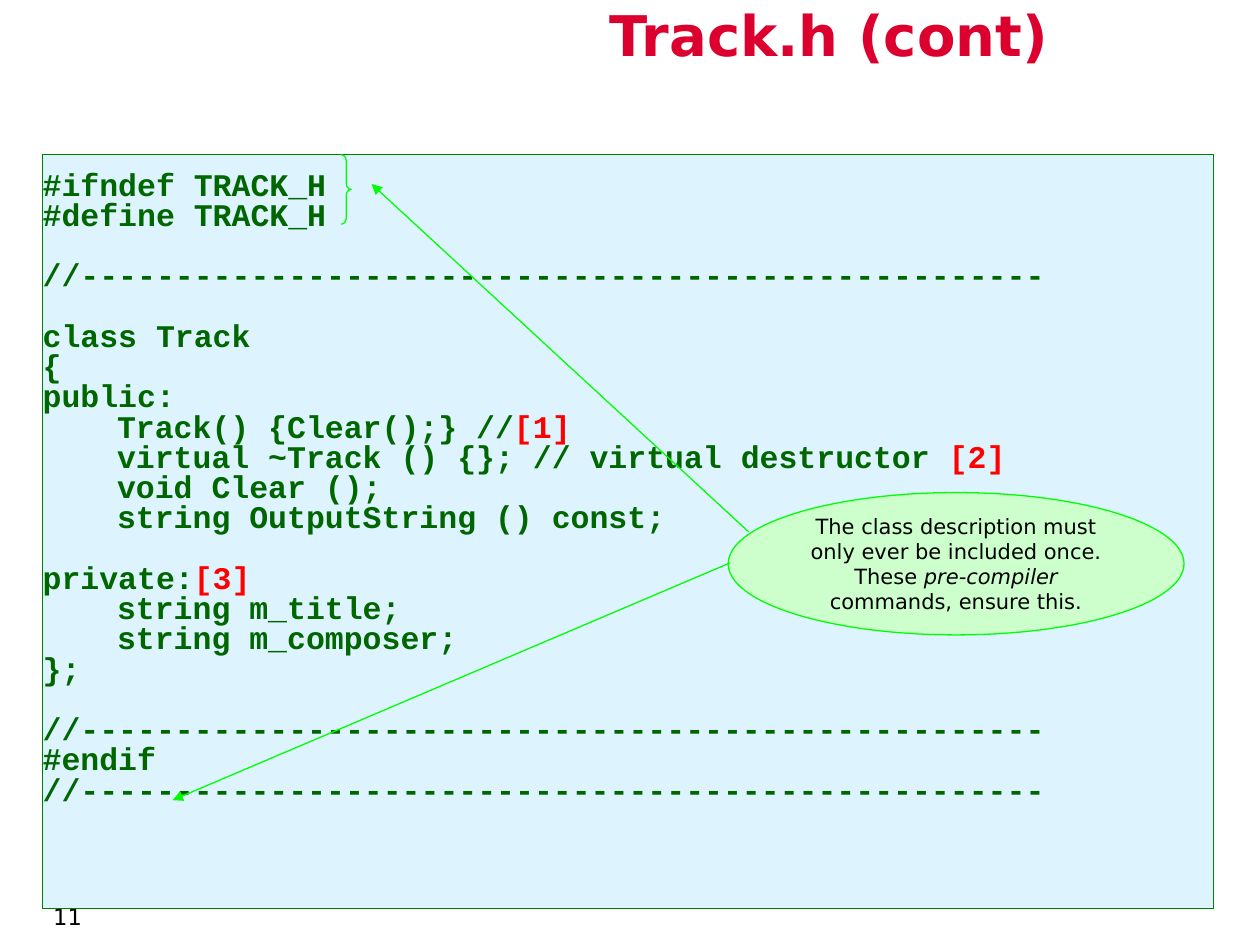
from dataclasses import dataclass

import pptx
import pptx.dml.color
import pptx.enum.shapes
import pptx.enum.text
import pptx.oxml.ns
import pptx.util
from lxml import etree

Cm, Pt = pptx.util.Cm, pptx.util.Pt
RGB = pptx.dml.color.RGBColor
Shape = pptx.enum.shapes.MSO_SHAPE
Align = pptx.enum.text.PP_ALIGN
Anchor = pptx.enum.text.MSO_ANCHOR
qn = pptx.oxml.ns.qn

BLACK = RGB(0x00, 0x00, 0x00)
CRIMSON = RGB(0xDC, 0x00, 0x2E)
RED = RGB(0xFF, 0x00, 0x00)
GREEN = RGB(0x00, 0x66, 0x00)
BORDER = RGB(0x00, 0x80, 0x00)
LIME = RGB(0x00, 0xFF, 0x00)
MINT = RGB(0xCC, 0xFF, 0xCC)
SKY = RGB(0xDD, 0xF4, 0xFF)

SANS, MONO = "DejaVu Sans", "Courier New"
RULE = "//" + "-" * 51
STEP = 17.3  # height of one code line in points


@dataclass
class Code:
    text: str
    mark: str = ""
    tab: bool = False
    gap: bool = False


@dataclass
class Arrow:
    start: tuple[float, float]
    end: tuple[float, float]


CODE = [
    Code("#ifndef TRACK_H"),
    Code("#define TRACK_H"),
    Code(RULE, gap=True),
    Code("class Track", gap=True),
    Code("{"),
    Code("public:"),
    Code("Track() {Clear();} //", "[1]", tab=True),
    Code("virtual ~Track () {}; // virtual destructor ", "[2]", tab=True),
    Code("void Clear ();", tab=True),
    Code("string OutputString () const;", tab=True),
    Code("private:", "[3]", gap=True),
    Code("string m_title;", tab=True),
    Code("string m_composer;", tab=True),
    Code("};"),
    Code(RULE, gap=True),
    Code("#endif"),
    Code(RULE),
]
ARROWS = [
    Arrow((15.09, 10.72), (7.49, 3.71)),
    Arrow((14.71, 11.35), (3.48, 16.13)),
]


def set_up(frame, inset=(0, 0, 0, 0), anchor=Anchor.TOP) -> None:
    frame.word_wrap = True
    frame.auto_size = pptx.enum.text.MSO_AUTO_SIZE.NONE
    frame.vertical_anchor = anchor
    (frame.margin_left, frame.margin_top,
     frame.margin_right, frame.margin_bottom) = map(Cm, inset)


def write(para, text: str, *, size: float, font=SANS, color=BLACK,
          bold=False, italic=False, align=Align.LEFT) -> None:
    para.alignment = align
    run = para.add_run()
    run.text = text
    run.font.name = font
    run.font.size = Pt(size)
    run.font.bold = bold
    run.font.italic = italic
    run.font.color.rgb = color


def add_shape(slide, kind, box: tuple, line: RGB, fill: RGB | None = None):
    shape = slide.shapes.add_shape(kind, *map(Cm, box))
    shape.shadow.inherit = False
    shape.line.color.rgb = line
    shape.line.width = Pt(0.75)
    if fill is None:
        shape.fill.background()
    else:
        shape.fill.solid()
        shape.fill.fore_color.rgb = fill
    return shape


def add_code(slide) -> None:
    panel = add_shape(slide, Shape.RECTANGLE, (0.86, 3.12, 23.6, 15.19),
                      BORDER, SKY)
    frame = panel.text_frame
    set_up(frame, inset=(0, 0.35, 0, 0))
    for i, code in enumerate(CODE):
        para = frame.add_paragraph() if i else frame.paragraphs[0]
        para.line_spacing = Pt(STEP)
        para.space_before = Pt(STEP if code.gap else 0)
        if code.tab:
            para._p.get_or_add_pPr().set("marL", str(Cm(1.5)))
        write(para, code.text, size=18, font=MONO, color=GREEN, bold=True)
        if code.mark:
            write(para, code.mark, size=18, font=MONO, color=RED, bold=True)


def add_note(slide) -> None:
    note = add_shape(slide, Shape.OVAL, (14.68, 9.93, 9.19, 2.87), LIME, MINT)
    frame = note.text_frame
    set_up(frame, anchor=Anchor.MIDDLE)
    style = dict(size=12, align=Align.CENTER)
    write(frame.paragraphs[0],
          "The class description must only ever be included once.", **style)
    para = frame.add_paragraph()
    write(para, "These ", **style)
    write(para, "pre-compiler ", italic=True, **style)
    write(para, "commands, ensure this.", **style)


def add_arrow(slide, arrow: Arrow) -> None:
    link = slide.shapes.add_connector(
        pptx.enum.shapes.MSO_CONNECTOR.STRAIGHT,
        *map(Cm, arrow.start + arrow.end))
    link.line.color.rgb = LIME
    link.line.width = Pt(0.75)
    etree.SubElement(link.line._get_or_add_ln(), qn("a:tailEnd"),
                     type="triangle")
    etree.SubElement(link._element.spPr, qn("a:effectLst"))


def main() -> None:
    deck = pptx.Presentation()
    deck.slide_width, deck.slide_height = Cm(25.4), Cm(19.05)
    slide = deck.slides.add_slide(deck.slide_layouts[5])

    # Title
    title = slide.shapes.title
    title.left, title.top = Cm(11.51), Cm(0)
    title.width, title.height = Cm(10.41), Cm(1.73)
    set_up(title.text_frame)
    write(title.text_frame.paragraphs[0], "Track.h (cont)", size=32,
          color=CRIMSON, bold=True, align=Align.CENTER)

    # Slide number
    number = slide.shapes.add_textbox(Cm(0), Cm(18.14), Cm(1.9), Cm(0.91))
    set_up(number.text_frame, inset=(0.25, 0.13, 0.25, 0.13))
    para = number.text_frame.paragraphs[0]
    para.line_spacing = 0.9
    write(para, "11", size=12.9, align=Align.RIGHT)

    # Code, callout and arrows
    add_code(slide)
    add_note(slide)
    for arrow in ARROWS:
        add_arrow(slide, arrow)

    # Brace beside the include guard
    brace = add_shape(slide, Shape.RIGHT_BRACE, (6.88, 3.12, 0.2, 1.4), LIME)
    brace.adjustments[0] = 0.6

    deck.save("out.pptx")


if __name__ == "__main__":
    main()
